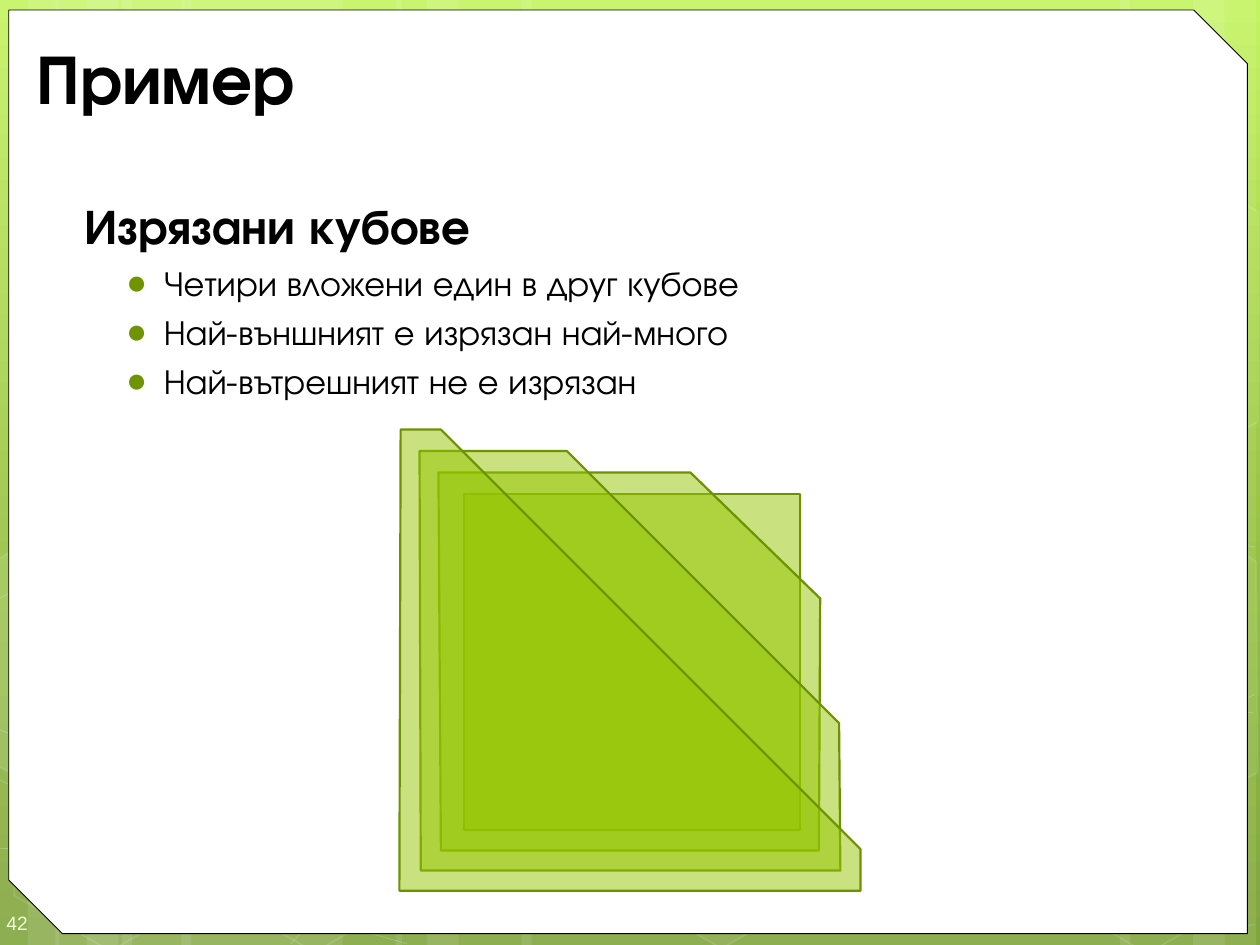
from copy import deepcopy
from lxml.etree import SubElement as Sub
from pptx import Presentation
from pptx.dml.color import RGBColor
from pptx.enum.shapes import MSO_SHAPE as Kind
from pptx.enum.text import MSO_ANCHOR as Anchor, MSO_AUTO_SIZE as Fit, PP_ALIGN as Align
from pptx.oxml.ns import qn
from pptx.util import Inches, Pt

WHITE = RGBColor(0xFF, 0xFF, 0xFF)
BLACK = RGBColor(0, 0, 0)
LIGHT = RGBColor(0xC3, 0xF3, 0x5F)
MID = RGBColor(0x93, 0xBF, 0x3F)
DARK = RGBColor(0x81, 0xA5, 0x3E)
LIME = RGBColor(0x94, 0xC6, 0x00)
EDGE = RGBColor(0x6D, 0x92, 0x00)
DOT = RGBColor(0x6F, 0x94, 0x00)
PALE = RGBColor(0xEE, 0xFF, 0xD6)
FONT = "TeX Gyre Adventor"

deck = Presentation()
deck.slide_width, deck.slide_height = Inches(10), Inches(7.5)
slide = deck.slides.add_slide(deck.slide_layouts[1])
shapes = slide.shapes


def paint(shape, fill=None, alpha=100, line=None, width=1, fade=100):
    """Set fill and line, each with its opacity in percent."""
    shape.shadow.inherit = False
    if fill is None:
        shape.fill.background()
    else:
        shape.fill.solid()
        shape.fill.fore_color.rgb = fill
    if line is None:
        shape.line.fill.background()
    else:
        shape.line.color.rgb = line
        shape.line.width = Pt(width)
    for where, part in (("a:solidFill/a:srgbClr", alpha), ("a:ln/a:solidFill/a:srgbClr", fade)):
        for tint in shape.element.spPr.xpath(where):
            if part < 100:
                Sub(tint, qn("a:alpha"), val=str(part * 1000))


def trace(points, close=True):
    """Draw an outline through points given in inches."""
    spots = [(Inches(x), Inches(y)) for x, y in points]
    pen = shapes.build_freeform(*spots[0])
    pen.add_line_segments(spots[1:], close=close)
    return pen.convert_to_shape()


# Background gradient, top to bottom
back = slide.background.fill
back.gradient()
back.gradient_angle = 270
stops = back.gradient_stops
first = slide.background._cSld.xpath(".//a:gs")[0]
first.addnext(deepcopy(first))
for stop, (place, tone) in zip(back.gradient_stops, ((0, LIGHT), (0.62, MID), (1, DARK))):
    stop.position = place
    stop.color.rgb = tone

# Vertical bands
bands = [(0.97, 1.75), (-0.03, 0.5), (0.22, 0.83), (1.44, 1.75), (0.44, 0.5), (0.69, 0.83),
         (7.22, 1.75), (9.47, 0.5), (8.89, 0.83), (4.14, 3.08), (3.14, 0.5), (3.39, 0.83)]
for left, wide in bands:
    band = shapes.add_shape(Kind.RECTANGLE, Inches(left), 0, Inches(wide), Inches(7.5))
    paint(band, WHITE, 10)

# Thin curves: a start point, then two handles and an end for each Bezier piece
curves = [
    [(-0.04, 6.73), (0.5, 6.76), (1.04, 6.79), (1.79, 6.78), (2.54, 6.77), (3.46, 6.75),
     (4.47, 6.65), (5.47, 6.55), (6.89, 6.36), (7.8, 6.17), (8.72, 5.98), (9.66, 5.68), (9.96, 5.51)],
    [(-0.04, 4.77), (0.25, 4.61), (0.54, 4.46), (1.1, 4.31), (1.67, 4.16), (2.47, 3.94),
     (3.36, 3.87), (4.25, 3.8), (5.33, 3.79), (6.43, 3.87), (7.53, 3.95), (9.36, 4.26), (9.96, 4.34)],
    [(-0.05, 6.17), (1.15, 6.72), (2.36, 7.27), (3.23, 7.49)],
    [(-0.04, 5.78), (0.27, 5.89), (0.59, 6), (1.17, 6.16), (1.75, 6.31), (2.62, 6.56),
     (3.45, 6.73), (4.29, 6.9), (5.34, 7.08), (6.17, 7.18), (6.99, 7.29), (7.89, 7.33),
     (8.41, 7.36), (8.94, 7.4), (9.08, 7.38), (9.34, 7.38), (9.59, 7.37), (9.78, 7.35), (9.96, 7.34)],
    [(2.31, 7.49), (2.49, 7.29), (2.67, 7.09), (2.91, 6.91), (3.15, 6.73), (3.49, 6.53),
     (3.76, 6.39), (4.04, 6.25), (4.22, 6.19), (4.58, 6.09), (4.95, 5.99), (5.62, 5.85),
     (5.97, 5.78), (6.32, 5.71), (6.38, 5.71), (6.69, 5.69), (7, 5.66), (7.49, 5.63),
     (7.83, 5.62), (8.17, 5.61), (8.75, 5.62), (8.75, 5.62), (9, 5.62), (9.2, 5.62),
     (9.41, 5.62), (9.6, 5.63), (9.77, 5.64), (9.86, 5.65), (9.94, 5.66), (9.91, 5.65), (9.95, 5.66)],
]
STEPS = 8
for knots in curves:
    dots = [knots[0]]
    for i in range(0, len(knots) - 1, 3):
        for step in range(1, STEPS + 1):
            t = step / STEPS
            parts = ((1 - t) ** 3, 3 * t * (1 - t) ** 2, 3 * t * t * (1 - t), t ** 3)
            dots.append(tuple(sum(w * knot[axis] for w, knot in zip(parts, knots[i:i + 4]))
                              for axis in (0, 1)))
    paint(trace(dots, close=False), line=WHITE, width=0.5, fade=20)

# Hexagons that reach past the panel
for left, top, fill in ((4.85, 5.89, WHITE), (0, 5.91, None), (1.62, 5.92, None), (8.23, 5.93, None)):
    hexa = shapes.add_shape(Kind.HEXAGON, Inches(left), Inches(top), Inches(1.75), Inches(1.52))
    hexa.adjustments[0] = 0.285
    hexa.rotation = 30
    paint(hexa, fill, 6, WHITE, 1, 12)

# Hexagons cut by the slide edge
cuts = [
    (WHITE, 10, [(-0.03, 4.45), (0.08, 4.38), (0.85, 4.82), (0.84, 5.7), (0.09, 6.14), (-0.03, 6.07)]),
    (WHITE, 4, [(9.15, 4.85), (9.9, 4.41), (9.97, 4.46), (9.98, 6.13), (9.91, 6.17), (9.14, 5.73)]),
    (None, 100, [(9.15, 2.07), (9.9, 1.63), (9.98, 1.68), (9.98, 3.35), (9.91, 3.39), (9.14, 2.95)]),
]
for fill, alpha, points in cuts:
    paint(trace(points), fill, alpha, WHITE, 1, 12)

# White panel
panel = shapes.add_shape(Kind.SNIP_2_DIAG_RECTANGLE, Inches(0.07), Inches(0.08), Inches(9.83), Inches(7.33))
panel.adjustments[0], panel.adjustments[1] = 0, 0.058
paint(panel, WHITE, line=BLACK, width=0.5)

# Slide number
num = shapes.add_textbox(0, Inches(7.1), Inches(0.58), Inches(0.4))
frame = num.text_frame
frame.word_wrap = True
frame.vertical_anchor = Anchor.MIDDLE
frame.margin_left, frame.margin_top = Inches(0.05), Inches(0.15)
frame.margin_right, frame.margin_bottom = 0, Inches(0.1)
frame.text = "42"
font = frame.paragraphs[0].runs[0].font
font.name, font.size, font.color.rgb = "Arial", Pt(11), PALE

# Title and list, above the panel
title, body = shapes.title, slide.placeholders[1]
title.left, title.top, title.width, title.height = Inches(0.19), Inches(0.25), Inches(9.47), Inches(0.71)
body.left, body.top, body.width, body.height = Inches(0.5), Inches(1.5), Inches(9.42), Inches(5.92)
for box in (title, body):
    shapes.element.append(box.element)
    box.text_frame.auto_size = Fit.NONE
title.text_frame.vertical_anchor = Anchor.MIDDLE
title.text_frame.text = "Пример"
body.text_frame.text = "\n".join([
    "Изрязани кубове",
    "Четири вложени един в друг кубове",
    "Най-външният е изрязан най-много",
    "Най-вътрешният не е изрязан",
])
head, *items = body.text_frame.paragraphs
props = head._p.get_or_add_pPr()
props.set("marL", str(Inches(0.07)))
props.set("indent", "0")
Sub(props, qn("a:buNone"))
head.space_before = Pt(0)
for item in items:
    item.level = 1
    props = item._p.get_or_add_pPr()
    props.set("marL", str(Inches(0.7)))
    props.set("indent", str(Inches(-0.3)))
    Sub(Sub(props, qn("a:buClr")), qn("a:srgbClr"), val=str(DOT))
    Sub(props, qn("a:buFont"), typeface="Arial")
    Sub(props, qn("a:buChar"), char="●")
    item.space_before = Pt(4)
top = title.text_frame.paragraphs[0]
for line, size in [(top, 40), (head, 28)] + [(item, 20) for item in items]:
    line.alignment = Align.LEFT
    font = line.runs[0].font
    font.name, font.size, font.bold = FONT, Pt(size), size > 20
    font.color.rgb = BLACK

# Nested cubes, from the whole inner one to the most cut outer one
cubes = [
    [(5.48, 3.75), (3.48, 3.75), (3.5, 6.75), (6.5, 6.75), (6.51, 4.75)],
    [(4.5, 3.58), (3.33, 3.58), (3.34, 6.91), (6.67, 6.91), (6.66, 5.74)],
    [(3.5, 3.41), (3.18, 3.41), (3.17, 7.07), (6.83, 7.07), (6.83, 6.74)],
]
inner = shapes.add_shape(Kind.RECTANGLE, Inches(3.68), Inches(3.92), Inches(2.67), Inches(2.67))
for cube in [inner] + [trace(points) for points in cubes]:
    paint(cube, LIME, 50, EDGE, 1.25)

deck.save("out.pptx")
